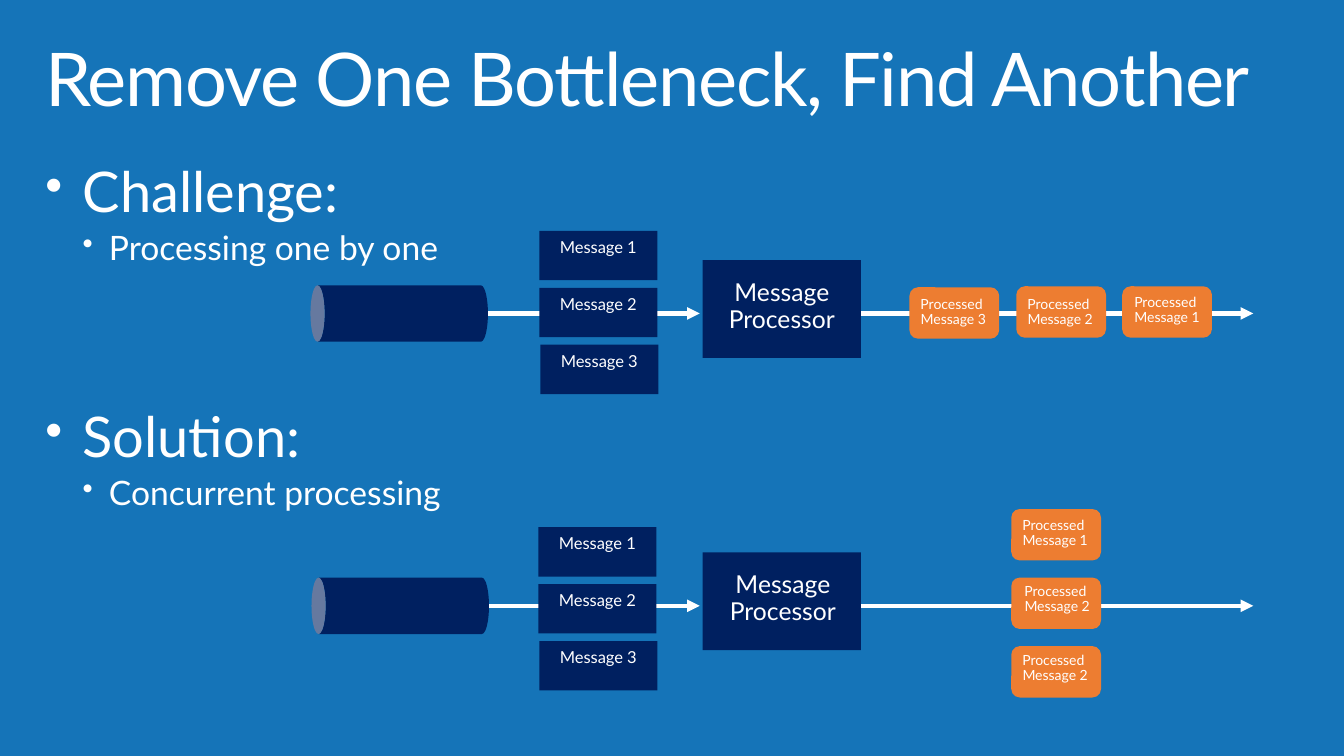
import pptx
import pptx.util
import pptx.dml.color
import pptx.enum.shapes
import pptx.enum.text
import pptx.oxml.ns
import lxml.etree

Inches, Pt = pptx.util.Inches, pptx.util.Pt
KIND = pptx.enum.shapes.MSO_SHAPE
ALIGN = pptx.enum.text.PP_ALIGN

THEME = {
    "font": "Lato", "back": "1574B8", "navy": "002060",
    "orange": "ED7D31", "white": "FFFFFF",
    "title": 52.9, "head": 40, "point": 24,
    "engine": 17.6, "label": 11.8, "done": 10,
}

TITLE = "Remove One Bottleneck, Find Another"
BODY = [
    ("Challenge:", "head", 0.37, 0.37, 0),
    ("Processing one by one", "point", 0.63, 0.26, 4.8),
    ("Solution:", "head", 0.37, 0.37, 101),
    ("Concurrent processing", "point", 0.63, 0.26, 4.8),
]
INPUTS = [("Message 1", 5.35), ("Message 2", 5.35), ("Message 3", 5.36)]
ENGINE = "Message\vProcessor"
FLOWS = [
    {"mid": 3.11, "left": 0, "first": 2.29, "done": [
        ("Processed \vMessage 3", 9.02, 2.85, 8.9, 2.8),
        ("Processed \vMessage 2", 10.08, 2.84, 9.96, 2.8),
        ("Processed \vMessage 1", 11.13, 2.84, 11.02, 2.78)]},
    {"mid": 6.01, "left": 0.01, "first": 5.23, "done": [
        ("Processed \vMessage 1", 10.03, 5.05, 9.91, 4.99),
        ("Processed \vMessage 2", 10.03, 5.73, 9.93, 5.65),
        ("Processed \vMessage 2", 10.03, 6.41, 9.91, 6.33)]},
]
STEP = 0.565


def color(name):
    return pptx.dml.color.RGBColor.from_string(THEME[name])


def style(para, size):
    para.line_spacing = 0.9
    for run in para.runs:
        run.font.name = THEME["font"]
        run.font.size = Pt(THEME[size])
        run.font.color.rgb = color("white")


def frame(shape, side, top):
    text = shape.text_frame
    text.word_wrap = True
    text.vertical_anchor = pptx.enum.text.MSO_ANCHOR.TOP
    text.margin_left = text.margin_right = Inches(side)
    text.margin_top = text.margin_bottom = Inches(top)
    return text


def write(shape, words, size, top):
    text = frame(shape, 0.05, top)
    text.text = words
    para = text.paragraphs[0]
    para.alignment = ALIGN.CENTER
    style(para, size)


def box(slide, kind, fill, *place):
    shape = slide.shapes.add_shape(kind, *map(Inches, place))
    shape.shadow.inherit = False
    shape.fill.solid()
    shape.fill.fore_color.rgb = color(fill)
    shape.line.fill.background()
    return shape


def arrow(slide, start, end, mid):
    line = slide.shapes.add_connector(
        pptx.enum.shapes.MSO_CONNECTOR.STRAIGHT,
        Inches(start), Inches(mid), Inches(end), Inches(mid))
    line.line.color.rgb = color("white")
    line.line.width = Pt(3)
    tag = pptx.oxml.ns.qn
    lxml.etree.SubElement(
        line.line._get_or_add_ln(), tag("a:tailEnd"), type="triangle")
    lxml.etree.SubElement(line._element.spPr, tag("a:effectLst"))


def bullet(para, left, hang):
    tag = pptx.oxml.ns.qn
    props = para._p.get_or_add_pPr()
    props.set("marL", str(Inches(left)))
    props.set("indent", str(-Inches(hang)))
    lxml.etree.SubElement(props, tag("a:buSzPct"), val="90000")
    lxml.etree.SubElement(props, tag("a:buChar"), char="•")


def heading(slide):
    place = map(Inches, (0.29, 0.32, 12.62, 0.98))
    text = frame(slide.shapes.add_textbox(*place), 0.16, 0.1)
    text.text = TITLE
    style(text.paragraphs[0], "title")
    text.paragraphs[0].runs[0].font._element.set("spc", "-100")


def points(slide):
    place = map(Inches, (0.29, 1.53, 12.62, 3.77))
    text = frame(slide.shapes.add_textbox(*place), 0.16, 0.1)
    text.text = "\n".join(row[0] for row in BODY)
    for para, (_, size, left, hang, gap) in zip(text.paragraphs, BODY):
        para.level = int(size == "point")
        para.space_before = Pt(gap)
        style(para, size)
        bullet(para, left, hang)


def draw(slide, flow):
    mid, left = flow["mid"], flow["left"]
    arrow(slide, 4.65, 6.94, mid)
    arrow(slide, 8.53 + left, 12.43, mid)
    box(slide, KIND.RECTANGLE, "navy", 6.97, mid - 0.53, 1.57, 0.97)
    engine = box(slide, KIND.RECTANGLE, "navy",
                 7.03 + left, mid - 0.49, 1.45, 0.85)
    write(engine, ENGINE, "engine", 0.16)
    queue = box(slide, KIND.CAN, "navy", 3.68 + left, mid - 0.88, 0.56, 1.76)
    queue.rotation = 270
    for row, (words, x) in enumerate(INPUTS):
        label = box(slide, KIND.RECTANGLE, "navy",
                    x - left, flow["first"] + row * STEP, 1.17, 0.49)
        write(label, words, "label", 0.08)
    for words, x, y, text_x, text_y in flow["done"]:
        box(slide, KIND.ROUNDED_RECTANGLE, "orange", x, y, 0.89, 0.51)
        place = map(Inches, (text_x, text_y, 1.11, 0.62))
        write(slide.shapes.add_textbox(*place), words, "done", 0.15)


def main():
    deck = pptx.Presentation()
    deck.slide_width, deck.slide_height = Inches(13.33), Inches(7.5)
    slide = deck.slides.add_slide(deck.slide_layouts[6])
    slide.background.fill.solid()
    slide.background.fill.fore_color.rgb = color("back")
    heading(slide)
    points(slide)
    for flow in FLOWS:
        draw(slide, flow)
    deck.save("out.pptx")


if __name__ == "__main__":
    main()
